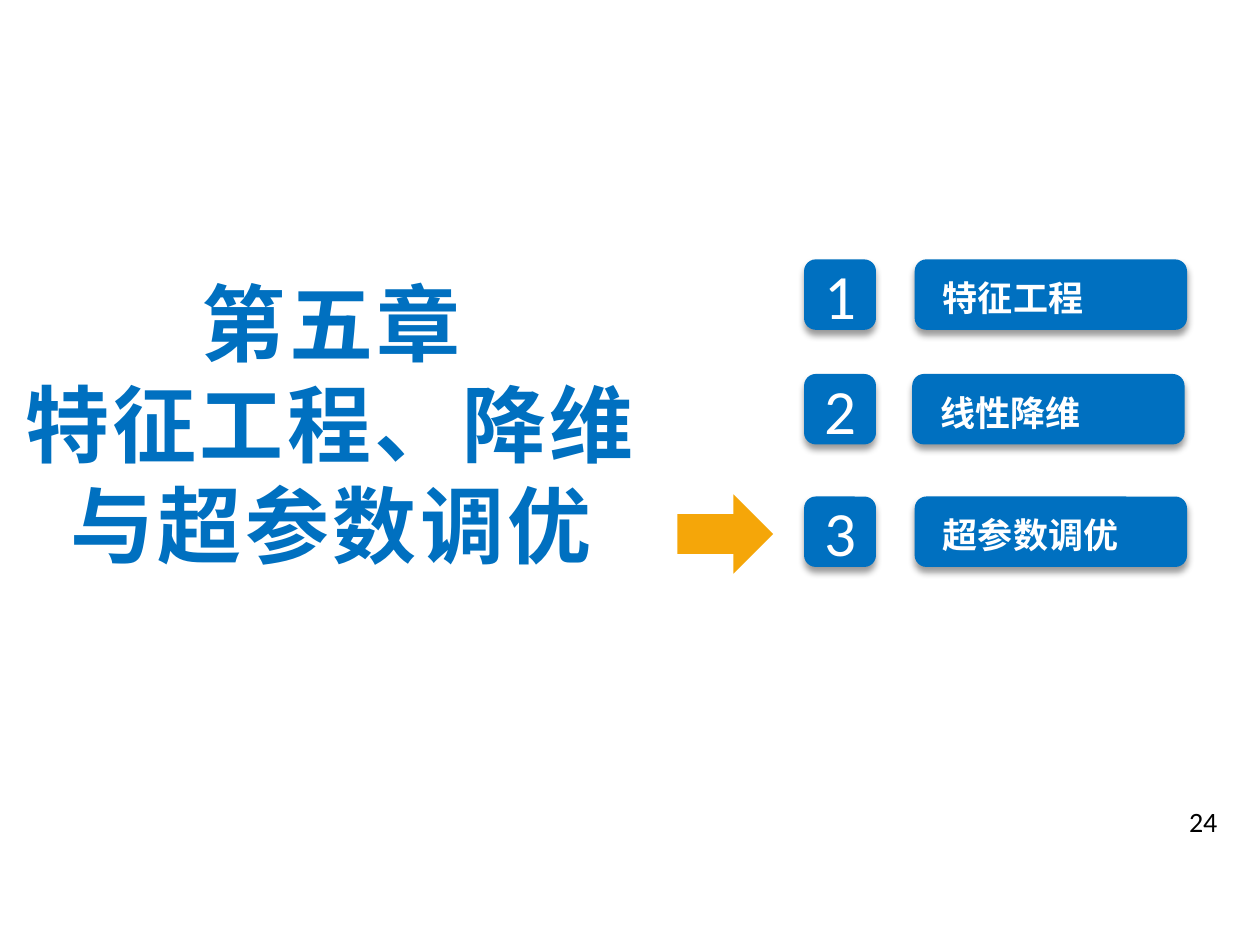
"""Build the chapter five divider slide with its three numbered sections."""
import pptx
import pptx.util
import pptx.dml.color
import pptx.enum.shapes
import pptx.enum.text
import pptx.oxml
import pptx.oxml.ns
import lxml.etree

Cm, Pt = pptx.util.Cm, pptx.util.Pt
SHAPE = pptx.enum.shapes.MSO_SHAPE
ALIGN = pptx.enum.text.PP_ALIGN
ANCHOR = pptx.enum.text.MSO_ANCHOR

BLUE, ORANGE, WHITE, BLACK = "0070C0", "F5A609", "FFFFFF", "000000"
LATIN, CHINESE = "Calibri", "Noto Sans CJK SC"

TITLE = ["第五章", "特征工程、降维与超参数调优"]
SECTIONS = [
    ("特征工程", 18.44, 5.23),
    ("线性降维", 18.39, 7.54),
    ("超参数调优", 18.44, 10.01),
]
PAGE_NUMBER = "24"

NUMBER_LEFT, NUMBER_WIDTH = 16.21, 1.45
BAR_WIDTH, BAR_HEIGHT = 5.49, 1.42
LABEL_DX, LABEL_DY, LABEL_WIDTH, LABEL_HEIGHT = 0.24, 0.11, 5.13, 1.19

SHADOW = (
    f'<a:effectLst {pptx.oxml.ns.nsdecls("a")}>'
    '<a:outerShdw blurRad="50800" dist="38100" dir="5400000" algn="t" rotWithShape="0">'
    '<a:srgbClr val="000000"><a:alpha val="40000"/></a:srgbClr>'
    '</a:outerShdw></a:effectLst>'
)


def color(value):
    return pptx.dml.color.RGBColor.from_string(value)


def add_block(shapes, preset, box, fill, shadow=False):
    block = shapes.add_shape(preset, *map(Cm, box))
    block.fill.solid()
    block.fill.fore_color.rgb = color(fill)
    block.line.fill.background()
    block.shadow.inherit = False
    if shadow:
        properties = block.element.spPr
        plain = properties.find(pptx.oxml.ns.qn("a:effectLst"))
        properties.replace(plain, pptx.oxml.parse_xml(SHADOW))
    return block


def write(frame, lines, size, ink, align, chinese=False, spacing=0):
    frame.word_wrap = True
    frame.margin_left = frame.margin_right = Cm(0.33)
    frame.margin_top = frame.margin_bottom = Cm(0.18)
    if chinese:
        frame.margin_top = Cm(0.18 + 0.003 * size)
    frame.text = "\n".join(lines)
    for paragraph in frame.paragraphs:
        paragraph.alignment = align
        font = paragraph.font
        font.size, font.bold = Pt(size), chinese
        font.color.rgb = color(ink)
        font.name = CHINESE if chinese else LATIN
        if chinese:
            paragraph.line_spacing = Pt(size * 1.2)
            defaults = paragraph._p.xpath("a:pPr/a:defRPr")[0]
            defaults.set("spc", str(spacing * 100))
            east_asian = lxml.etree.SubElement(defaults, pptx.oxml.ns.qn("a:ea"))
            east_asian.set("typeface", CHINESE)


def add_text(shapes, box, *args, **options):
    frame = shapes.add_textbox(*map(Cm, box)).text_frame
    write(frame, *args, **options)
    return frame


def add_section(shapes, number, label, left, top):
    badge = add_block(shapes, SHAPE.ROUNDED_RECTANGLE,
                      (NUMBER_LEFT, top, NUMBER_WIDTH, BAR_HEIGHT), BLUE, shadow=True)
    write(badge.text_frame, [str(number)], 36, WHITE, ALIGN.CENTER)
    badge.text_frame.vertical_anchor = ANCHOR.MIDDLE
    bar = shapes.add_group_shape().shapes
    add_block(bar, SHAPE.ROUNDED_RECTANGLE,
              (left, top, BAR_WIDTH, BAR_HEIGHT), BLUE, shadow=True)
    add_text(bar, (left + LABEL_DX, top + LABEL_DY, LABEL_WIDTH, LABEL_HEIGHT),
             [label], 20, WHITE, ALIGN.LEFT, chinese=True)


def main():
    deck = pptx.Presentation()
    deck.slide_width, deck.slide_height = Cm(25.4), Cm(19.05)
    shapes = deck.slides.add_slide(deck.slide_layouts[6]).shapes

    for number, section in enumerate(SECTIONS, 1):
        add_section(shapes, number, *section)

    add_text(shapes, (0, 5.16, 13.36, 6.5), TITLE, 48, BLUE, ALIGN.CENTER,
             chinese=True, spacing=2)
    pointer = add_block(shapes, SHAPE.DOWN_ARROW, (13.82, 9.8, 1.6, 1.93), ORANGE)
    pointer.rotation = 270

    page = add_text(shapes, (18.87, 16.08, 5.92, 0.76), [PAGE_NUMBER], 16, BLACK, ALIGN.RIGHT)
    page.margin_left = page.margin_right = Cm(0.25)
    page.margin_top = page.margin_bottom = Cm(0.13)

    deck.save("out.pptx")


if __name__ == "__main__":
    main()
